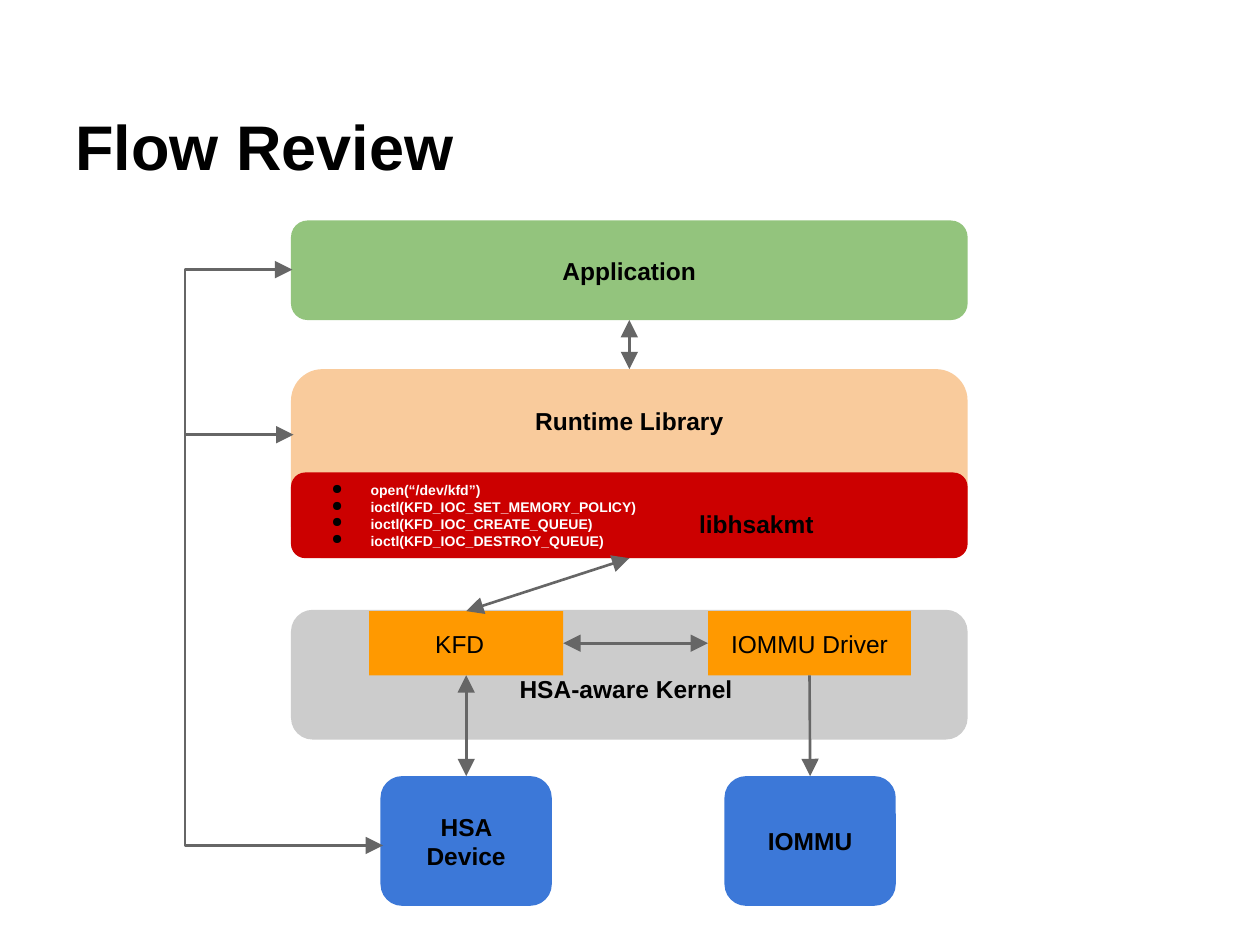
import pptx
import pptx.dml.color
import pptx.enum.shapes
import pptx.enum.text
import pptx.oxml
import pptx.oxml.ns
import pptx.util
from lxml import etree

Inches = pptx.util.Inches
Pt = pptx.util.Pt
RGBColor = pptx.dml.color.RGBColor
Shape = pptx.enum.shapes.MSO_SHAPE
Align = pptx.enum.text.PP_ALIGN
Anchor = pptx.enum.text.MSO_ANCHOR
qn = pptx.oxml.ns.qn

BLACK = RGBColor(0x00, 0x00, 0x00)
WHITE = RGBColor(0xFF, 0xFF, 0xFF)
GRAY = RGBColor(0xCC, 0xCC, 0xCC)
LINE_GRAY = RGBColor(0x66, 0x66, 0x66)
ORANGE = RGBColor(0xFF, 0x99, 0x00)
PEACH = RGBColor(0xF9, 0xCB, 0x9C)
RED = RGBColor(0xCC, 0x00, 0x00)
GREEN = RGBColor(0x93, 0xC4, 0x7D)
BLUE = RGBColor(0x3C, 0x78, 0xD8)

TOP, LEFT, BOTTOM, RIGHT = range(4)
LAYER_LEFT, LAYER_WIDTH = 2.31, 5.37
DEVICE_TOP, DEVICE_WIDTH, DEVICE_HEIGHT = 6.16, 1.36, 1.03
BUS_X = 1.47

CALLS = [
    "open(“/dev/kfd”)",
    "ioctl(KFD_IOC_SET_MEMORY_POLICY)",
    "ioctl(KFD_IOC_CREATE_QUEUE)",
    "ioctl(KFD_IOC_DESTROY_QUEUE)",
]


def write_text(shape, text, size=14, bold=True, color=BLACK, align=Align.CENTER,
               anchor=Anchor.MIDDLE, top=0.1, right=0.1, bottom=0.1):
    frame = shape.text_frame
    frame.word_wrap = True
    frame.vertical_anchor = anchor
    frame.margin_left = Inches(0.1)
    frame.margin_top = Inches(top)
    frame.margin_right = Inches(right)
    frame.margin_bottom = Inches(bottom)
    frame.text = text
    for para in frame.paragraphs:
        para.alignment = align
        for span in para.runs:
            span.font.name = "Arial"
            span.font.size = Pt(size)
            span.font.bold = bold
            span.font.color.rgb = color


def add_label(page, x, y, width, height, text, **style):
    box = page.shapes.add_textbox(Inches(x), Inches(y), Inches(width), Inches(height))
    write_text(box, text, align=Align.LEFT, **style)


def add_block(page, x, y, width, height, fill, text, kind=Shape.ROUNDED_RECTANGLE, **style):
    block = page.shapes.add_shape(kind, Inches(x), Inches(y), Inches(width), Inches(height))
    block.shadow.inherit = False
    block.fill.solid()
    block.fill.fore_color.rgb = fill
    block.line.fill.background()
    write_text(block, text, **style)
    return block


def add_layer(page, y, height, fill, text, **style):
    """Add a full-width block of the software stack."""
    return add_block(page, LAYER_LEFT, y, LAYER_WIDTH, height, fill, text, **style)


def add_bullets(block):
    for para in block.text_frame.paragraphs:
        props = para._p.get_or_add_pPr()
        props.set("marL", str(Inches(0.5)))
        props.set("indent", str(Inches(-0.31)))
        color = etree.SubElement(props, qn("a:buClr"))
        etree.SubElement(color, qn("a:srgbClr"), val=str(BLACK))
        etree.SubElement(props, qn("a:buChar"), char="●")


def style_line(shape, ends):
    shape.line.color.rgb = LINE_GRAY
    shape.line.width = Pt(1.5)
    line = shape.line._get_or_add_ln()
    for end in ends:
        etree.SubElement(line, qn(f"a:{end}End"), type="triangle", w="lg", len="lg")


def add_arrow(page, start, end, ends):
    arrow = page.shapes.add_connector(
        pptx.enum.shapes.MSO_CONNECTOR.STRAIGHT, *map(Inches, start + end))
    style_line(arrow, ends)
    etree.SubElement(arrow._element.spPr, qn("a:effectLst"))
    return arrow


def join(page, source, source_side, target, target_side, ends=("head", "tail")):
    arrow = add_arrow(page, (0, 0), (0, 0), ends)
    arrow.begin_connect(source, source_side)
    arrow.end_connect(target, target_side)


def add_bus(page):
    """Add the line that links the application, runtime and device at the left."""
    points = [(2.32, 2.14), (BUS_X, 2.14), (BUS_X, 6.71), (3.04, 6.71)]
    corners = [(Inches(x), Inches(y)) for x, y in points]
    builder = page.shapes.build_freeform(*corners[0])
    builder.add_line_segments(corners[1:], close=False)
    bus = builder.convert_to_shape()
    bus.shadow.inherit = False
    bus.fill.background()
    style_line(bus, ("head", "tail"))
    add_arrow(page, (2.33, 3.45), (BUS_X, 3.45), ("head",))


def main():
    deck = pptx.Presentation()
    deck.slide_width = Inches(10)
    deck.slide_height = Inches(7.5)
    page = deck.slides.add_slide(deck.slide_layouts[6])

    add_label(page, 0.5, 0.3, 9, 1.25, "Flow Review", size=36, anchor=Anchor.BOTTOM)

    add_layer(page, 4.84, 1.03, GRAY, "HSA-aware Kernel", top=0.33, right=0.15)
    kfd = add_block(page, 2.93, 4.85, 1.54, 0.51, ORANGE, "KFD",
                    kind=Shape.RECTANGLE, bold=False, right=0.2)
    driver = add_block(page, 5.62, 4.85, 1.61, 0.51, ORANGE, "IOMMU Driver",
                       kind=Shape.RECTANGLE, bold=False)
    runtime = add_layer(page, 2.93, 1.5, PEACH, "Runtime Library", bottom=0.78)
    library = add_layer(page, 3.75, 0.68, RED, "\n".join(CALLS),
                        size=8, color=WHITE, align=Align.LEFT)
    add_bullets(library)
    application = add_layer(page, 1.75, 0.79, GREEN, "Application")
    device, iommu = [
        add_block(page, x, DEVICE_TOP, DEVICE_WIDTH, DEVICE_HEIGHT, BLUE, name)
        for x, name in ((3.02, "HSA Device"), (5.75, "IOMMU"))
    ]

    join(page, application, BOTTOM, runtime, TOP)
    join(page, library, BOTTOM, kfd, TOP)
    join(page, kfd, RIGHT, driver, LEFT)
    join(page, kfd, BOTTOM, device, TOP)
    join(page, driver, BOTTOM, iommu, TOP, ends=("tail",))
    add_bus(page)

    add_label(page, 5.45, 3.94, 1.89, 0.34, "libhsakmt", anchor=Anchor.TOP)

    deck.save("out.pptx")


if __name__ == "__main__":
    main()
